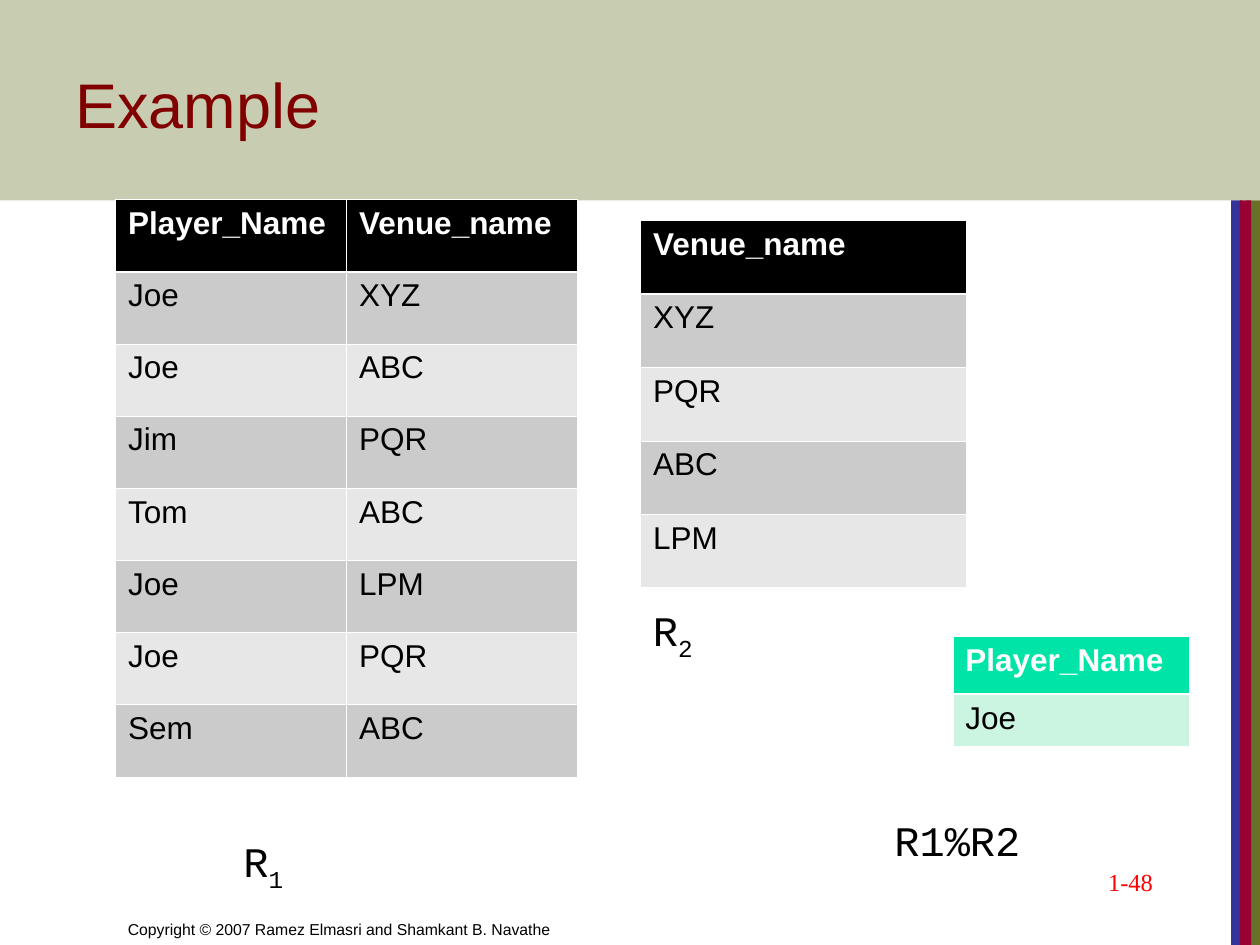
"""Build the relational division example slide."""
import pptx
import pptx.util
import pptx.dml.color
import pptx.enum.shapes
import pptx.enum.text
import pptx.oxml.ns
import lxml.etree

Pt = pptx.util.Pt
Align = pptx.enum.text.PP_ALIGN
Anchor = pptx.enum.text.MSO_ANCHOR
qn = pptx.oxml.ns.qn


def color(code):
    return pptx.dml.color.RGBColor.from_string(code)


def style(run, font, size, code, bold=False):
    run.font.name = font
    run.font.size = Pt(size)
    run.font.bold = bold
    run.font.color.rgb = color(code)


deck = pptx.Presentation()
deck.slide_width = Pt(720)
deck.slide_height = Pt(540)
slide = deck.slides.add_slide(deck.slide_layouts[6])

bars = [
    (712, 114.5, 8, 425.5, "677228", 100),
    (703.5, 114.5, 6.5, 425.5, "333399", 100),
    (708.5, 114.5, 6.5, 425.5, "990033", 100),
    (0, 0, 720, 114.5, "677228", 36),
]
for left, top, width, height, code, alpha in bars:
    bar = slide.shapes.add_shape(
        pptx.enum.shapes.MSO_SHAPE.RECTANGLE, Pt(left), Pt(top), Pt(width), Pt(height))
    bar.shadow.inherit = False
    bar.line.fill.background()
    bar.fill.solid()
    bar.fill.fore_color.rgb = color(code)
    if alpha < 100:
        tint = bar.fill._xPr.find(".//" + qn("a:srgbClr"))
        lxml.etree.SubElement(tint, qn("a:alpha")).set("val", str(alpha * 1000))

mono = "Courier New"
labels = [
    (66, 504, 354, 36, "Copyright © 2007 Ramez Elmasri and Shamkant B. Navathe", "",
     "Arial", 9, "000000", Align.LEFT, Anchor.BOTTOM),
    (36, 21.6, 648, 62.6, "Example", "", "Arial", 36, "800000", Align.LEFT, Anchor.BOTTOM),
    (516, 492, 150, 36, "1-48", "", "Times New Roman", 14, "FF0000", Align.RIGHT, Anchor.TOP),
    (132, 474, 102, 40, "R", "1", mono, 24, "000000", Align.LEFT, Anchor.TOP),
    (366, 342, 102, 40, "R", "2", mono, 24, "000000", Align.LEFT, Anchor.TOP),
    (504, 462, 108, 36, "R1%R2", "", mono, 24, "000000", Align.LEFT, Anchor.TOP),
]
for left, top, width, height, text, sub, font, size, code, align, anchor in labels:
    frame = slide.shapes.add_textbox(Pt(left), Pt(top), Pt(width), Pt(height)).text_frame
    frame.word_wrap = True
    frame.vertical_anchor = anchor
    frame.text = text
    para = frame.paragraphs[0]
    para.alignment = align
    if sub:
        tail = para.add_run()
        tail.text = sub
        tail.font._element.set("baseline", "-25000")
    for run in para.runs:
        style(run, font, size, code)

gray = ("000000", "CBCBCB", "E7E7E7")
green = ("00E4A8", "CBF5E1", "CBF5E1")
games = [
    ("Player_Name", "Venue_name"), ("Joe", "XYZ"), ("Joe", "ABC"), ("Jim", "PQR"),
    ("Tom", "ABC"), ("Joe", "LPM"), ("Joe", "PQR"), ("Sem", "ABC"),
]
venues = [("Venue_name",), ("XYZ",), ("PQR",), ("ABC",), ("LPM",)]
result = [("Player_Name",), ("Joe",)]
grids = [
    (66, 114, 132, [41.25] * 8, games, gray),
    (366, 126, 186, [42] * 5, venues, gray),
    (544.5, 363.75, 135, [33, 30], result, green),
]
for left, top, width, heights, rows, fills in grids:
    count = len(rows[0])
    table = slide.shapes.add_table(
        len(rows), count, Pt(left), Pt(top), Pt(width * count), Pt(sum(heights))).table
    for col in table.columns:
        col.width = Pt(width)
    for row, texts in enumerate(rows):
        table.rows[row].height = Pt(heights[row])
        for col, text in enumerate(texts):
            cell = table.cell(row, col)
            props = cell._tc.get_or_add_tcPr()
            for side in "LRTB":
                thick = (row, side) in ((0, "B"), (1, "T"))
                edge = lxml.etree.SubElement(props, qn("a:ln" + side))
                edge.set("w", str(Pt(1.47 if thick else 0.45)))
                paint = lxml.etree.SubElement(edge, qn("a:solidFill"))
                lxml.etree.SubElement(paint, qn("a:srgbClr")).set("val", "FFFFFF")
            cell.fill.solid()
            cell.fill.fore_color.rgb = color(fills[0 if row == 0 else 2 - row % 2])
            cell.text_frame.text = text
            head = row == 0
            style(cell.text_frame.paragraphs[0].runs[0], "Arial", 18,
                  "FFFFFF" if head else "000000", head)

deck.save("out.pptx")
